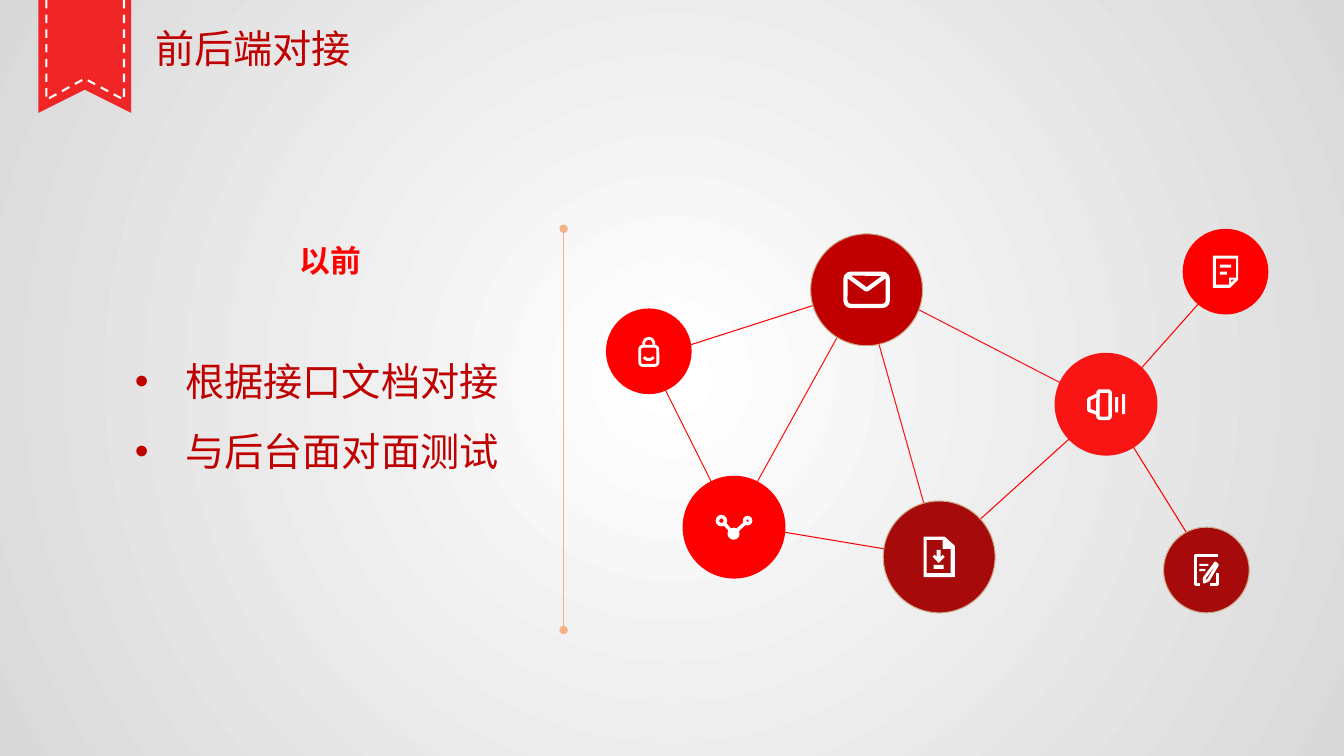
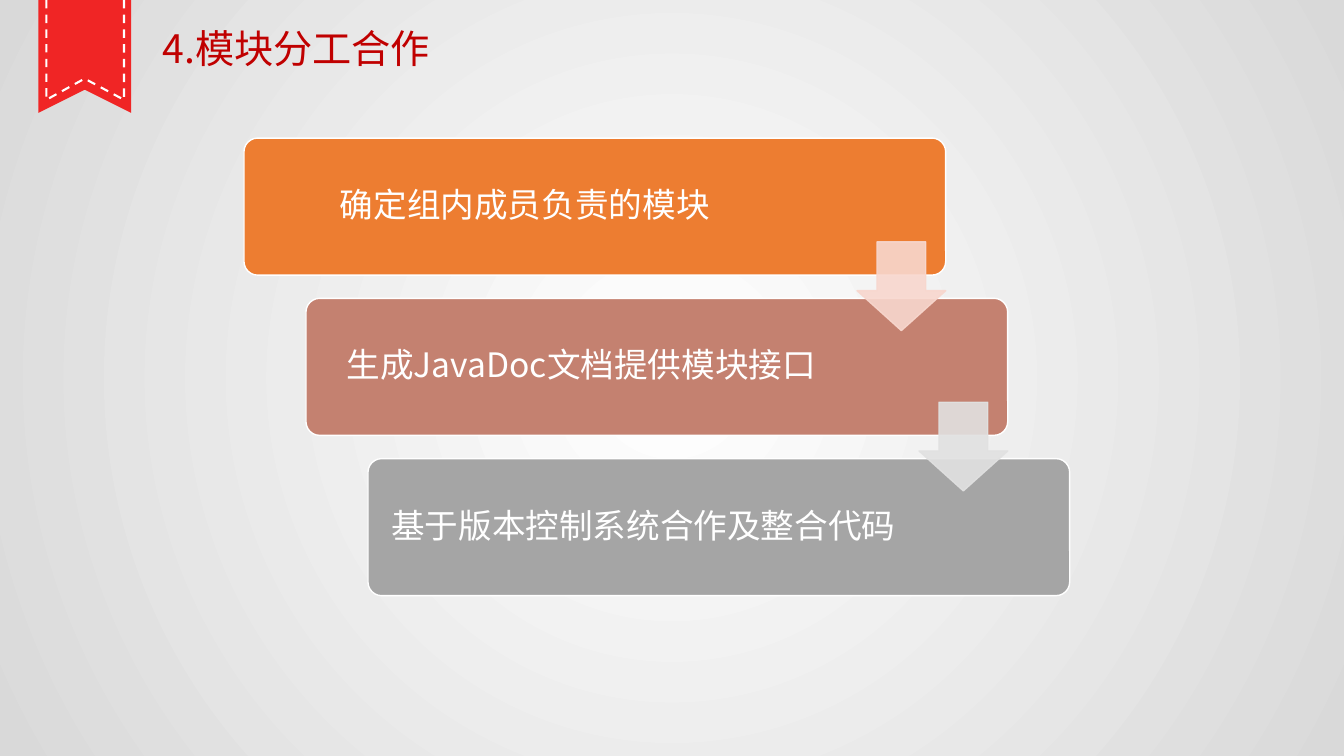
from collections import namedtuple
from dataclasses import dataclass

from lxml import etree
from pptx import Presentation
from pptx.dml.color import RGBColor
from pptx.enum import dml, shapes, text
from pptx.oxml.ns import qn
from pptx.util import Inches, Pt

Box = namedtuple("Box", "left top width height")
KIND = shapes.MSO_SHAPE


@dataclass(frozen=True)
class Theme:
    """Colours, font and type sizes shared by the slides."""
    font: str = "Noto Sans CJK SC"
    title_size: int = 28
    step_size: int = 24
    heading_size: int = 22
    white: str = "FFFFFF"
    edge: str = "D9D9D9"
    ribbon: str = "F02525"
    title: str = "C00000"
    dark: str = "A60A0A"
    bright: str = "FF0000"
    warm: str = "FA1515"
    ring: str = "CBAB89"
    divider: str = "F4B183"
    steps: tuple = ("ED7D31", "C48170", "A5A5A5")
    arrows: tuple = ("F8D7CE", "E1E1E1")


THEME = Theme()

ICONS = {
    "mail": (0.46, 0.36, [
        ("shape", KIND.ROUNDED_RECTANGLE, (0.02, 0.02, 0.42, 0.32), 3),
        ("path", [[(0.04, 0.04), (0.23, 0.18), (0.42, 0.04)]], 3)]),
    "download": (0.31, 0.4, [
        ("path", [[(0.21, 0), (0, 0), (0, 0.4), (0.31, 0.4), (0.31, 0.09)],
                  [(0.03, 0.03), (0.03, 0.36), (0.27, 0.36), (0.27, 0.12),
                   (0.19, 0.12), (0.19, 0.03)]], 0),
        ("path", [[(0.17, 0.2), (0.17, 0.13), (0.13, 0.13), (0.13, 0.2), (0.11, 0.18),
                   (0.09, 0.2), (0.15, 0.26), (0.21, 0.2), (0.19, 0.18)]], 0),
        ("shape", KIND.RECTANGLE, (0.1, 0.28, 0.1, 0.04), 0)]),
    "edit": (0.24, 0.3, [
        ("path", [[(0.06, 0.29), (0.01, 0.29), (0.01, 0.01), (0.24, 0.01)]], 2),
        ("path", [[(0.23, 0.18), (0.23, 0.29), (0.16, 0.29)]], 2),
        ("path", [[(0.21, 0.08), (0.1, 0.23), (0.1, 0.27), (0.14, 0.25), (0.23, 0.1),
                   (0.21, 0.08)]], 2),
        ("shape", KIND.ROUNDED_RECTANGLE, (0.05, 0.09, 0.09, 0.02), 0),
        ("shape", KIND.ROUNDED_RECTANGLE, (0.05, 0.14, 0.06, 0.02), 0)]),
    "share": (0.37, 0.25, [
        ("path", [[(0.09, 0.09), (0.18, 0.19), (0.29, 0.09)]], 2.5),
        ("shape", KIND.OVAL, (0.02, 0.02, 0.08, 0.08), 2.5),
        ("shape", KIND.OVAL, (0.29, 0.03, 0.06, 0.06), 2.5),
        ("shape", KIND.OVAL, (0.12, 0.13, 0.12, 0.12), 0)]),
    "speaker": (0.38, 0.3, [
        ("shape", KIND.ROUNDED_RECTANGLE, (0.11, 0.02, 0.12, 0.27), 2.5),
        ("path", [[(0.1, 0.06), (0.02, 0.1), (0.02, 0.21), (0.1, 0.24)]], 2.5),
        ("shape", KIND.ROUNDED_RECTANGLE, (0.28, 0.08, 0.03, 0.15), 0),
        ("shape", KIND.ROUNDED_RECTANGLE, (0.35, 0.05, 0.03, 0.2), 0)]),
    "note": (0.25, 0.32, [
        ("path", [[(0, 0), (0, 0.32), (0.17, 0.32), (0.25, 0.24), (0.25, 0)],
                  [(0.03, 0.03), (0.23, 0.03), (0.23, 0.22), (0.16, 0.22),
                   (0.16, 0.29), (0.03, 0.29)],
                  [(0.21, 0.24), (0.18, 0.27), (0.18, 0.24)]], 0),
        ("shape", KIND.RECTANGLE, (0.07, 0.09, 0.11, 0.03), 0),
        ("shape", KIND.RECTANGLE, (0.07, 0.16, 0.07, 0.03), 0)]),
    "lock": (0.22, 0.3, [
        ("shape", KIND.ROUNDED_RECTANGLE, (0.02, 0.1, 0.18, 0.19), 2),
        ("path", [[(0.06, 0.1), (0.06, 0.06), (0.08, 0.03), (0.11, 0.02), (0.14, 0.03),
                   (0.16, 0.06), (0.16, 0.1)]], 2),
        ("path", [[(0.06, 0.21), (0.09, 0.23), (0.13, 0.23), (0.16, 0.21)]], 2)]),
}

NODES = [
    ("mail", 2.04, 0.32, 1.11, THEME.title, THEME.ring),
    ("download", 2.76, 2.97, 1.11, THEME.dark, THEME.ring),
    ("edit", 5.54, 3.23, 0.85, THEME.dark, THEME.ring),
    ("share", 0.77, 2.72, 1.02, THEME.bright, None),
    ("speaker", 4.46, 1.5, 1.02, THEME.warm, None),
    ("note", 5.73, 0.27, 0.85, THEME.bright, None),
    ("lock", 0.01, 1.06, 0.85, THEME.bright, None),
]

LINKS = [
    (0.82, 1.43, 2.16, 1, THEME.bright),
    (2.34, 1.28, 1.45, 2.89, THEME.warm),
    (1.72, 3.27, 2.86, 3.46, THEME.bright),
    (3.19, 3.09, 2.68, 1.28, THEME.warm),
    (3.01, 1.02, 4.58, 1.83, THEME.warm),
    (5.26, 1.72, 5.97, 0.92, THEME.bright),
    (4.61, 2.35, 3.69, 3.18, THEME.bright),
    (5.2, 2.37, 5.79, 3.32, THEME.bright),
    (0.58, 1.83, 1.09, 2.85, THEME.warm),
]


def set_values(target, values):
    """Set each named attribute of the target."""
    for name, value in values.items():
        setattr(target, name, value)


def add_element(parent, tag, **attributes):
    """Append a drawing element to its parent."""
    return etree.SubElement(parent, qn(tag), attributes)


def paint(shape, fill=None, line=None, width=0.75):
    """Give a shape its fill and line and take away its shadow."""
    shape.shadow.inherit = False
    for part, colour in ((shape.fill, fill), (shape.line.fill, line)):
        if colour:
            part.solid()
            part.fore_color.rgb = RGBColor.from_string(colour)
        else:
            part.background()
    if line:
        shape.line.width = Pt(width)
    return shape


def add_shape(slide, kind, box, **style):
    """Add a painted preset shape."""
    return paint(slide.shapes.add_shape(kind, *map(Inches, box)), **style)


def add_outline(slide, left, top, contours, closed, **style):
    """Add a painted freeform made of straight contours."""
    builder = None
    for contour in contours:
        first, *others = [(Inches(left + x), Inches(top + y)) for x, y in contour]
        if builder is None:
            builder = slide.shapes.build_freeform(*first)
        else:
            builder.move_to(*first)
        builder.add_line_segments(others, close=closed)
    return paint(builder.convert_to_shape(), **style)


def add_line(slide, start, end, colour):
    """Add a thin straight line without a shadow."""
    connector = slide.shapes.add_connector(
        shapes.MSO_CONNECTOR.STRAIGHT, *map(Inches, (*start, *end)))
    connector.line.color.rgb = RGBColor.from_string(colour)
    connector.line.width = Pt(0.75)
    add_element(connector.element.spPr, "a:effectLst")
    return connector


def add_text(slide, box, lines, size, colour, bold=None, bullet=False, frame=None,
             paragraph_format=None):
    """Add a text box with one paragraph for each line."""
    text_frame = slide.shapes.add_textbox(*map(Inches, box)).text_frame
    set_values(text_frame, {"word_wrap": True,
                            "auto_size": text.MSO_AUTO_SIZE.SHAPE_TO_FIT_TEXT,
                            **(frame or {})})
    for index, line in enumerate(lines):
        paragraph = text_frame.add_paragraph() if index else text_frame.paragraphs[0]
        set_values(paragraph, paragraph_format or {})
        if bullet:
            properties = paragraph._p.get_or_add_pPr()
            set_indent = {"marL": Inches(0.5), "indent": Inches(-0.5)}
            for name, value in set_indent.items():
                properties.set(name, str(value))
            add_element(properties, "a:buFont", typeface="Arial")
            add_element(properties, "a:buChar", char="•")
        run = paragraph.add_run()
        run.text = line
        set_values(run.font, {"name": THEME.font, "size": Pt(size), "bold": bold})
        run.font.color.rgb = RGBColor.from_string(colour)
        add_element(run.font._element, "a:ea", typeface=THEME.font)


def set_background(master):
    """Give the master a round gradient, light in the middle."""
    fill = master.background.fill
    fill.gradient()
    for stop, colour in zip(fill.gradient_stops, (THEME.white, THEME.edge)):
        stop.color.rgb = RGBColor.from_string(colour)
    gradient = master.element.find(".//" + qn("a:gradFill"))
    gradient.remove(gradient.find(qn("a:lin")))
    circle = add_element(gradient, "a:path", path="circle")
    add_element(circle, "a:fillToRect", l="50000", t="50000", r="50000", b="50000")


def add_header(slide, box, title, **paragraph_format):
    """Place the ribbon with its stitching and the title beside it."""
    ribbon = [(0, 0), (0.92, 0), (0.92, 1.12), (0.46, 0.89), (0, 1.12)]
    stitches = [(0.85, 0), (0.85, 0.99), (0.46, 0.78), (0.08, 0.99), (0.08, 0)]
    add_outline(slide, box.left, box.top, [ribbon], True, fill=THEME.ribbon)
    seam = add_outline(slide, box.left, box.top, [stitches], False,
                       line=THEME.white, width=1.5)
    seam.line.dash_style = dml.MSO_LINE.DASH
    add_text(slide, Box(box.left + 1.06, box.top + 0.19, box.width - 1.06, 0.57),
             [title], THEME.title_size, THEME.title, paragraph_format=paragraph_format)


def add_icon(slide, name, centre_x, centre_y):
    """Draw a white icon around its centre."""
    width, height, parts = ICONS[name]
    left, top = centre_x - width / 2, centre_y - height / 2
    for kind, *geometry, weight in parts:
        style = ({"line": THEME.white, "width": weight} if weight
                 else {"fill": THEME.white})
        if kind == "path":
            add_outline(slide, left, top, geometry[0], not weight, **style)
        else:
            preset, (x, y, part_width, part_height) = geometry
            add_shape(slide, preset, (left + x, top + y, part_width, part_height), **style)


def add_network(slide, box):
    """Place the linked circles and their icons."""
    for x1, y1, x2, y2, colour in LINKS:
        add_line(slide, (box.left + x1, box.top + y1), (box.left + x2, box.top + y2), colour)
    for name, x, y, size, fill, line in NODES:
        left, top = box.left + x, box.top + y
        add_shape(slide, KIND.OVAL, (left, top, size, size), fill=fill, line=line)
        add_icon(slide, name, left + size / 2, top + size / 2)


def add_points(slide, box, heading, points):
    """Place the heading, its bullets and the divider on the right."""
    right = box.left + box.width
    divider = add_line(slide, (right, box.top), (right, box.top + box.height), THEME.divider)
    for tag in ("a:headEnd", "a:tailEnd"):
        add_element(divider.line._get_or_add_ln(), tag, type="oval")
    add_text(slide, Box(box.left, box.top + 0.99, 7.79, 1.43), points, THEME.title_size,
             THEME.title, bullet=True, paragraph_format={"line_spacing": 1.5})
    add_text(slide, Box(box.left + 1.63, box.top + 0.08, 0.82, 0.47), [heading],
             THEME.heading_size, THEME.bright, bold=True, frame={"word_wrap": False})


def add_steps(slide, box, steps):
    """Place the staggered cards and the arrows between them."""
    width, height = 6.96, 1.36
    gaps = len(steps) - 1
    corners = [(box.left + i * (box.width - width) / gaps,
                box.top + i * (box.height - height) / gaps) for i in range(len(steps))]
    inset = Inches(0.1)
    frame = {"vertical_anchor": text.MSO_ANCHOR.MIDDLE,
             "auto_size": text.MSO_AUTO_SIZE.NONE,
             **{f"margin_{side}": inset for side in ("left", "top", "right", "bottom")}}
    for (left, top), (step, text_width), colour in zip(corners, steps, THEME.steps):
        card = add_shape(slide, KIND.ROUNDED_RECTANGLE, (left, top, width, height),
                         fill=colour, line=THEME.white, width=1)
        card.adjustments[0] = 0.1
        add_text(slide, Box(left + 0.04, top + 0.04, text_width, height - 0.08), [step],
                 THEME.step_size, THEME.white, frame=frame,
                 paragraph_format={"alignment": text.PP_ALIGN.CENTER, "line_spacing": 0.9})
    for (left, top), colour in zip(corners, THEME.arrows):
        arrow = add_shape(slide, KIND.DOWN_ARROW, (left + 6.08, top + 1.03, 0.88, 0.88),
                          fill=colour, line=colour, width=1)
        arrow.adjustments[0], arrow.adjustments[1] = 0.55, 0.45
        for colour_element in list(arrow.element.spPr.iter(qn("a:srgbClr"))):
            add_element(colour_element, "a:alpha", val="90000")


def main():
    """Build and save the two slides."""
    presentation = Presentation()
    set_values(presentation, {"slide_width": Inches(13.33), "slide_height": Inches(7.5)})
    set_background(presentation.slide_master)
    blank = presentation.slide_layouts[6]

    docking = presentation.slides.add_slide(blank)
    add_header(docking, Box(0.38, 0, 3.72, 1.12), "前后端对接")
    add_network(docking, Box(6, 2, 6.58, 4.08))
    add_points(docking, Box(1.24, 2.27, 4.35, 3.98), "以前",
               ["根据接口文档对接", "与后台面对面测试"])

    teamwork = presentation.slides.add_slide(blank)
    add_header(teamwork, Box(0.38, 0, 4.06, 1.12), "4.模块分工合作",
               alignment=text.PP_ALIGN.CENTER)
    add_steps(teamwork, Box(2.42, 1.37, 8.19, 4.54),
              [("确定组内成员负责的模块", 5.49), ("生成JavaDoc文档提供模块接口", 5.38),
               ("基于版本控制系统合作及整合代码", 5.38)])
    presentation.save("out.pptx")


if __name__ == "__main__":
    main()
